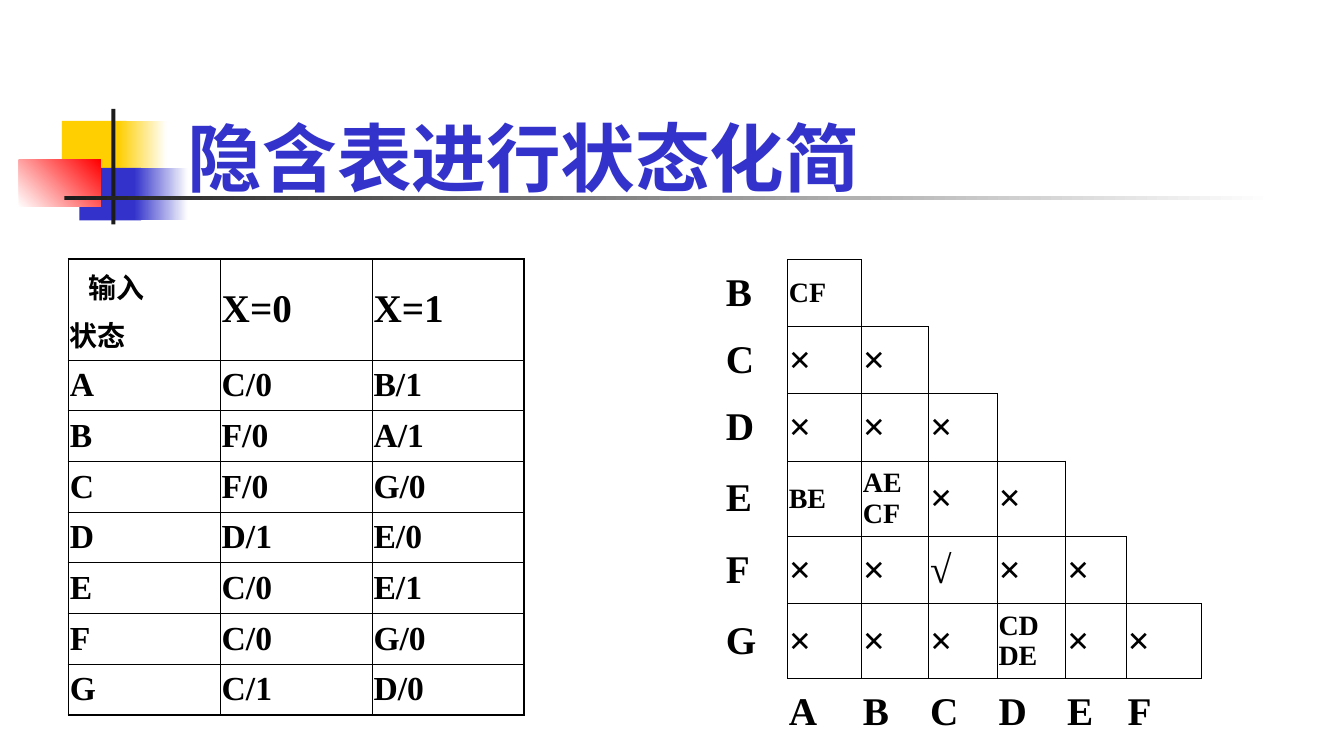
from dataclasses import dataclass
from typing import Callable, NamedTuple

from lxml import etree
from pptx import Presentation
from pptx.dml.color import RGBColor
from pptx.enum.shapes import MSO_SHAPE
from pptx.enum.text import MSO_ANCHOR
from pptx.oxml.ns import qn
from pptx.util import Inches, Pt

RECT = MSO_SHAPE.RECTANGLE
MIDDLE, TOP = MSO_ANCHOR.MIDDLE, MSO_ANCHOR.TOP
NO_STYLE = "{2D5ABB26-0587-4C30-8999-92F81FD0307C}"
SLIDE_WIDTH = 10
SLIDE_HEIGHT = SLIDE_WIDTH * 9 / 16


@dataclass(frozen=True)
class Theme:
    yellow: str = "FFCF01"
    blue: str = "3333CC"
    red: str = "FF0000"
    dark: str = "1C1C1C"
    white: str = "FFFFFF"
    text: str = "000000"
    title_font: str = "Lato"
    body_font: str = "Times New Roman"
    title_size: float = 40
    large: float = 21
    medium: float = 18
    small: float = 15
    thin: float = 0.45
    thick: float = 1.08


THEME = Theme()


class Block(NamedTuple):
    left: float
    top: float
    width: float
    height: float
    color: str
    end: str = ""
    angle: float = 0


class Grid(NamedTuple):
    left: float
    top: float
    cols: list[float]
    rows: list[float]
    cells: list[list[str]]
    size: Callable[[int, int, str], float]
    boxed: Callable[[int, int], bool]
    outer: float


def draw_block(s, block: Block) -> None:
    sp = s.shapes.add_shape(RECT, *map(Inches, block[:4]))
    sp.shadow.inherit = False
    sp.line.fill.background()
    if not block.end:
        sp.fill.solid()
        sp.fill.fore_color.rgb = RGBColor.from_string(block.color)
        return
    sp.fill.gradient()
    sp.fill.gradient_angle = block.angle
    for stop, color in zip(sp.fill.gradient_stops, (block.color, block.end)):
        stop.color.rgb = RGBColor.from_string(color)


def write(p, text: str, name: str, size: float, color: str) -> None:
    r = p.add_run()
    r.text = text
    for key, value in dict(name=name, size=Pt(size), bold=True).items():
        setattr(r.font, key, value)
    r.font.color.rgb = RGBColor.from_string(color)


def set_values(target, **values) -> None:
    for key, value in values.items():
        setattr(target, key, value)


def draw_title(s, text: str) -> None:
    tf = s.shapes.add_textbox(*map(Inches, (1.3, 0.86, 8.5, 0.65))).text_frame
    set_values(tf, word_wrap=True, vertical_anchor=MIDDLE,
               margin_top=Inches(0.1), margin_bottom=Inches(0.05))
    p = tf.paragraphs[0]
    p.line_spacing = 0.9
    write(p, text, THEME.title_font, THEME.title_size, THEME.blue)


def set_border(cell, index: int, side: str, width: float) -> None:
    ln = etree.Element(qn(f"a:ln{side}"), w=str(Pt(width)))
    if width:
        fill = etree.SubElement(ln, qn("a:solidFill"))
        etree.SubElement(fill, qn("a:srgbClr"), val=THEME.text)
    else:
        etree.SubElement(ln, qn("a:noFill"))
    cell._tc.get_or_add_tcPr().insert(index, ln)


def draw_borders(cell, grid: Grid, row: int, col: int) -> None:
    neighbours = {"L": (row, col - 1), "R": (row, col + 1),
                  "T": (row - 1, col), "B": (row + 1, col)}
    for index, (side, (r, c)) in enumerate(neighbours.items()):
        inside = 0 <= r < len(grid.rows) and 0 <= c < len(grid.cols)
        ruled = grid.boxed(row, col) or (inside and grid.boxed(r, c))
        width = THEME.thin if inside else grid.outer
        set_border(cell, index, side, width if ruled else 0)


def draw_grid(s, grid: Grid):
    frame = s.shapes.add_table(
        len(grid.rows), len(grid.cols), Inches(grid.left), Inches(grid.top),
        Inches(sum(grid.cols)), Inches(sum(grid.rows)))
    table = frame.table
    set_values(table, first_row=False, horz_banding=False)
    table._tbl.tblPr.find(qn("a:tableStyleId")).text = NO_STYLE
    for column, width in zip(table.columns, grid.cols):
        column.width = Inches(width)
    for row, height in zip(table.rows, grid.rows):
        row.height = Inches(height)
    for r, texts in enumerate(grid.cells):
        for c in range(len(grid.cols)):
            cell = table.cell(r, c)
            set_values(cell, vertical_anchor=MIDDLE,
                       margin_left=Inches(0.01), margin_right=Inches(0.1),
                       margin_top=Inches(0.03), margin_bottom=Inches(0.03))
            cell.fill.background()
            draw_borders(cell, grid, r, c)
            text = texts[c] if c < len(texts) else ""
            if text:
                write(cell.text_frame.paragraphs[0], text, THEME.body_font,
                      grid.size(r, c, text), THEME.text)
    return table


def draw_corner(cell, column_label: str, row_label: str) -> None:
    set_values(cell, vertical_anchor=TOP, margin_top=Inches(0.05), margin_bottom=0)
    first = cell.text_frame.paragraphs[0]
    first._p.get_or_add_pPr().set("marL", str(Inches(0.14)))
    second = cell.text_frame.add_paragraph()
    second.space_before = Pt(3.7)
    for p, text in ((first, column_label), (second, row_label)):
        write(p, text, THEME.body_font, THEME.small, THEME.text)


# Decoration behind the title
BLOCKS = [
    Block(0.46, 0.9, 0.48, 0.39, THEME.yellow),
    Block(0.88, 0.9, 0.36, 0.39, THEME.yellow, THEME.white),
    Block(0.59, 1.25, 0.46, 0.39, THEME.blue),
    Block(1, 1.25, 0.4, 0.39, THEME.blue, THEME.white),
    Block(0.14, 1.19, 0.61, 0.35, THEME.white, THEME.red, 45),
    Block(0.83, 0.81, 0.03, 0.86, THEME.dark),
    Block(0.48, 1.46, 9, 0.03, THEME.dark, THEME.white),
]

# State table: next state / output for each input
STATES = Grid(
    0.51, 1.93, [1.13] * 3, [0.75] + [2.64 / 7] * 7,
    [["", "X=0", "X=1"]] + [line.split() for line in (
        "A C/0 B/1", "B F/0 A/1", "C F/0 G/0", "D D/1 E/0",
        "E C/0 E/1", "F C/0 G/0", "G C/1 D/0")],
    size=lambda r, c, text: THEME.medium if r else THEME.large,
    boxed=lambda r, c: True, outer=THEME.thick)

# Implication table: a staircase with labels on the left and below
PAIRS = Grid(
    5.39, 1.93, [0.47, 0.55, 0.5, 0.51, 0.51, 0.45, 0.56],
    [0.5, 0.5, 0.5, 0.56, 0.5, 0.56, 0.5],
    [line.split() for line in (
        "B CF", "C × ×", "D × × ×", "E BE AECF × ×",
        "F × × √ × ×", "G × × × CDDE × ×")] + [["", *"ABCDEF"]],
    size=lambda r, c, text: THEME.small if len(text) > 1 else THEME.large,
    boxed=lambda r, c: r < 6 and 1 <= c <= r + 1, outer=THEME.thin)


def main() -> None:
    prs = Presentation()
    set_values(prs, slide_width=Inches(SLIDE_WIDTH),
               slide_height=Inches(SLIDE_HEIGHT))
    s = prs.slides.add_slide(prs.slide_layouts[6])
    for block in BLOCKS:
        draw_block(s, block)
    draw_title(s, "隐含表进行状态化简")
    states = draw_grid(s, STATES)
    draw_corner(states.cell(0, 0), "输入", "状态")
    draw_grid(s, PAIRS)
    prs.save("out.pptx")


if __name__ == "__main__":
    main()
